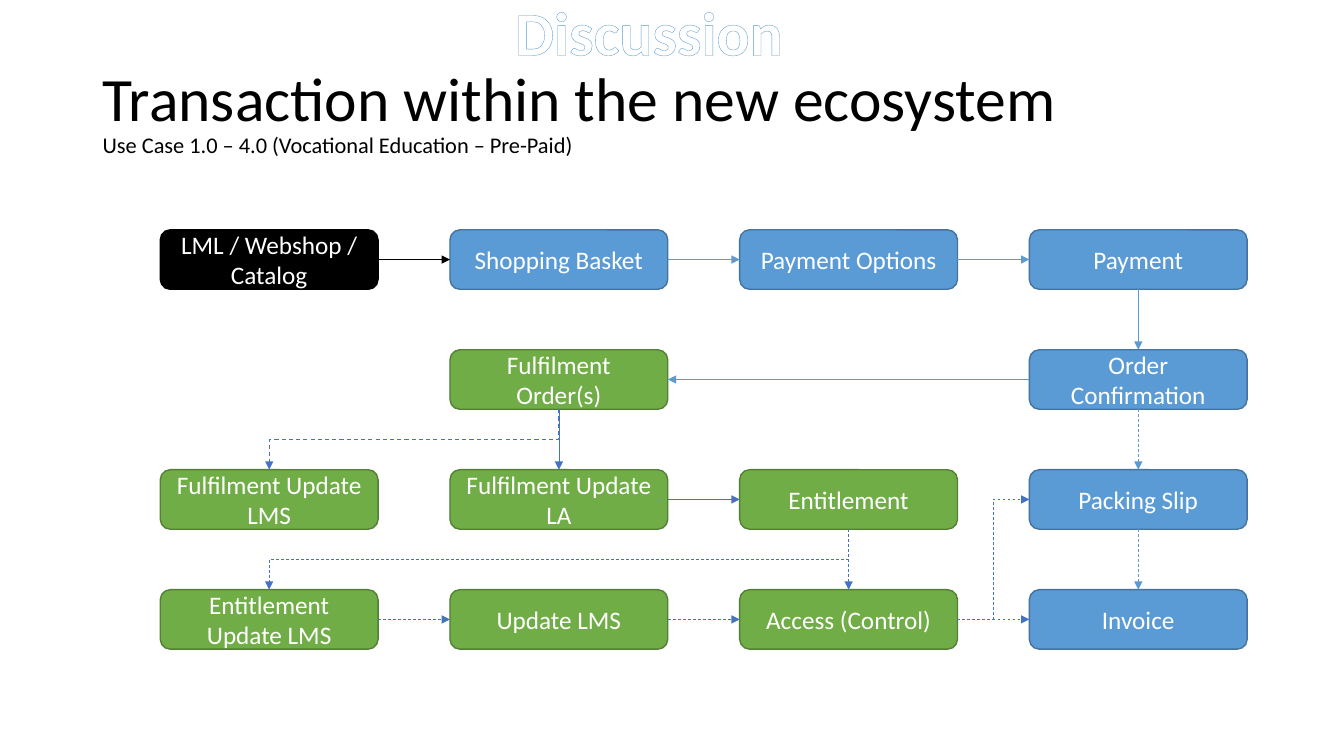
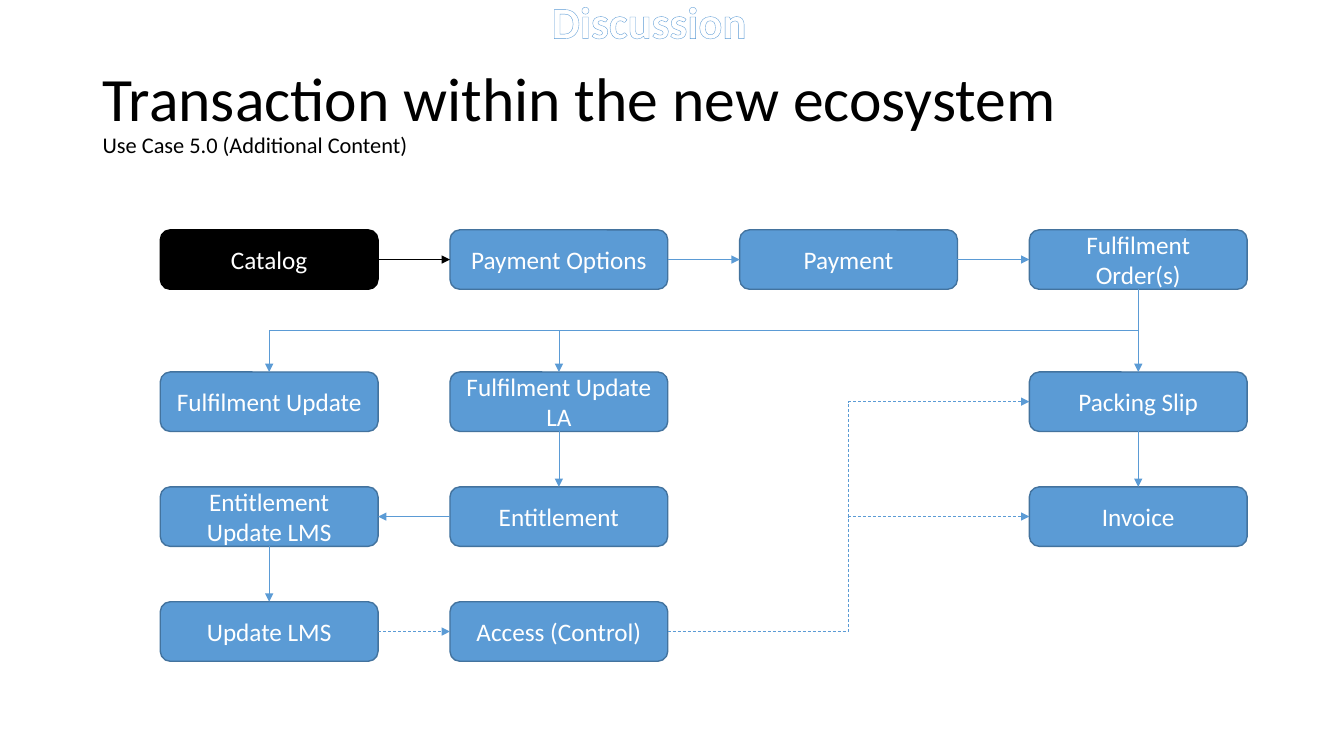
from dataclasses import dataclass

from lxml import etree
from pptx import Presentation
from pptx.dml.color import RGBColor
from pptx.enum.dml import MSO_LINE
from pptx.enum.shapes import MSO_CONNECTOR, MSO_SHAPE
from pptx.enum.text import MSO_ANCHOR, PP_ALIGN
from pptx.oxml import parse_xml
from pptx.oxml.ns import nsdecls, qn
from pptx.util import Inches, Pt

ROUNDED = MSO_SHAPE.ROUNDED_RECTANGLE
STRAIGHT, ELBOW = MSO_CONNECTOR.STRAIGHT, MSO_CONNECTOR.ELBOW
DASH = MSO_LINE.DASH
MIDDLE, CENTER = MSO_ANCHOR.MIDDLE, PP_ALIGN.CENTER
TOP, LEFT, BOTTOM, RIGHT = range(4)

FONT = "Calibri"
COLORS = {
    "black": "000000", "white": "FFFFFF",
    "blue": "5B9BD5", "blue edge": "43739E", "pale blue": "9DC3E6",
    "green": "70AD47", "green edge": "538035", "navy": "4472C4",
}
EDGES = {"black": "black", "blue": "blue edge", "green": "green edge"}

TITLE = "Transaction within the new ecosystem"
TITLE_BOX = (0.92, 0.4, 11.5, 1.45)
BANNER_LEFT, BANNER_TOP, BANNER_WIDTH = 1.59, -0.11, 9.7
STEP_WIDTH, STEP_HEIGHT = 2.16, 0.59
CHART_LEFT, CHART_RIGHT, CHART_TOP = 1.59, 12.37, 2.28
COLUMN_PITCH = (CHART_RIGHT - CHART_LEFT - STEP_WIDTH) / 3


@dataclass
class Flow:
    """An arrow between two named steps."""
    start: str
    end: str
    leave: int
    enter: int
    color: str = "blue"
    dashed: bool = False
    weight: float = 0.5


def rgb(name):
    """Return the named palette colour."""
    return RGBColor.from_string(COLORS[name])


def style_span(span, size, color):
    """Set the font of a run."""
    span.font.name = FONT
    span.font.size = Pt(size)
    span.font.color.rgb = rgb(color)


def add_text_box(page, area, text):
    """Add a wrapping text box and return its text frame."""
    frame = page.shapes.add_textbox(*map(Inches, area)).text_frame
    frame.word_wrap = True
    frame.text = text
    return frame


def add_title(page, subtitle):
    """Place the slide title with its use case below."""
    frame = add_text_box(page, TITLE_BOX, f"{TITLE}\v{subtitle}")
    frame.vertical_anchor = MIDDLE
    para = frame.paragraphs[0]
    para.line_spacing = 0.9
    for span, size in zip(para.runs, (44, 16)):
        style_span(span, size, "black")


def add_banner(page, size, height):
    """Place the outlined, hatched word above the title."""
    area = (BANNER_LEFT, BANNER_TOP, BANNER_WIDTH, height)
    para = add_text_box(page, area, "Discussion").paragraphs[0]
    para.alignment = CENTER
    span = para.runs[0]
    span.font.name, span.font.size, span.font.bold = FONT, Pt(size), True
    outline = (f'<a:ln {nsdecls("a")} w="12700"><a:solidFill>'
               f'<a:srgbClr val="{COLORS["blue"]}"/></a:solidFill></a:ln>')
    hatch = (f'<a:pattFill {nsdecls("a")} prst="ltDnDiag">'
             f'<a:fgClr><a:srgbClr val="{COLORS["pale blue"]}"/></a:fgClr>'
             f'<a:bgClr><a:srgbClr val="{COLORS["white"]}"/></a:bgClr></a:pattFill>')
    properties = span.font._element
    for index, xml in enumerate((outline, hatch)):
        properties.insert(index, parse_xml(xml))


def add_step(page, left, top, text, color):
    """Draw one rounded step of the process."""
    area = (left, top, STEP_WIDTH, STEP_HEIGHT)
    step = page.shapes.add_shape(ROUNDED, *map(Inches, area))
    step.shadow.inherit = False
    step.fill.solid()
    step.fill.fore_color.rgb = rgb(color)
    step.line.color.rgb = rgb(EDGES[color])
    step.line.width = Pt(1)
    step.text_frame.word_wrap = True
    step.text_frame.vertical_anchor = MIDDLE
    step.text_frame.text = text
    para = step.text_frame.paragraphs[0]
    para.alignment = CENTER
    style_span(para.runs[0], 18, "white")
    return step


def side_point(step, side):
    """Return the middle of one side of a step."""
    across = {LEFT: 0, RIGHT: step.width}.get(side, step.width // 2)
    down = {TOP: 0, BOTTOM: step.height}.get(side, step.height // 2)
    return step.left + across, step.top + down


def turn_elbow(arrow, start, end):
    """Make an elbow that runs down to the left leave vertically."""
    width, height = end[1] - start[1], start[0] - end[0]
    arrow.left = (start[0] + end[0] - width) // 2
    arrow.top = (start[1] + end[1] - height) // 2
    arrow.width, arrow.height = width, height
    frame = arrow.element.spPr.find(qn("a:xfrm"))
    frame.attrib.pop("flipH", None)
    frame.set("rot", "5400000")


def add_flow(page, steps, flow):
    """Join two steps with an arrow, bent where they are not in line."""
    first, last = steps[flow.start], steps[flow.end]
    start, end = side_point(first, flow.leave), side_point(last, flow.enter)
    aligned = start[0] == end[0] or start[1] == end[1]
    arrow = page.shapes.add_connector(STRAIGHT if aligned else ELBOW, *start, *end)
    arrow.begin_connect(first, flow.leave)
    arrow.end_connect(last, flow.enter)
    if not aligned and flow.leave == BOTTOM:
        turn_elbow(arrow, start, end)
    arrow.line.color.rgb = rgb(flow.color)
    arrow.line.width = Pt(flow.weight)
    if flow.dashed:
        arrow.line.dash_style = DASH
    etree.SubElement(arrow.line._get_or_add_ln(), qn("a:tailEnd"), type="triangle")
    etree.SubElement(arrow.element.spPr, qn("a:effectLst"))


def add_process(page, row_tops, rows, flows):
    """Lay out steps on the column grid and join them."""
    steps = {}
    for top, row in zip(row_tops, rows):
        for column, (text, color) in row.items():
            left = CHART_LEFT + column * COLUMN_PITCH
            steps[text] = add_step(page, left, top, text, color)
    for flow in flows:
        add_flow(page, steps, flow)


def add_process_page(deck, subtitle, banner, row_tops, rows, flows):
    """Add a slide with title, banner and process chart."""
    page = deck.slides.add_slide(deck.slide_layouts[6])
    add_title(page, subtitle)
    add_banner(page, *banner)
    add_process(page, row_tops, rows, flows)


PREPAID_ROWS = (
    {0: ("LML / Webshop / Catalog", "black"), 1: ("Shopping Basket", "blue"),
     2: ("Payment Options", "blue"), 3: ("Payment", "blue")},
    {1: ("Fulfilment Order(s)", "green"), 3: ("Order Confirmation", "blue")},
    {0: ("Fulfilment Update LMS", "green"), 1: ("Fulfilment Update LA", "green"),
     2: ("Entitlement", "green"), 3: ("Packing Slip", "blue")},
    {0: ("Entitlement Update LMS", "green"), 1: ("Update LMS", "green"),
     2: ("Access (Control)", "green"), 3: ("Invoice", "blue")},
)
PREPAID_FLOWS = (
    Flow("LML / Webshop / Catalog", "Shopping Basket", RIGHT, LEFT, "black"),
    Flow("Shopping Basket", "Payment Options", RIGHT, LEFT),
    Flow("Payment Options", "Payment", RIGHT, LEFT),
    Flow("Payment", "Order Confirmation", BOTTOM, TOP),
    Flow("Order Confirmation", "Fulfilment Order(s)", LEFT, RIGHT),
    Flow("Order Confirmation", "Packing Slip", BOTTOM, TOP, dashed=True),
    Flow("Packing Slip", "Invoice", BOTTOM, TOP, dashed=True),
    Flow("Fulfilment Order(s)", "Fulfilment Update LMS", BOTTOM, TOP, "navy", True, 0.75),
    Flow("Fulfilment Order(s)", "Fulfilment Update LA", BOTTOM, TOP, "navy"),
    Flow("Fulfilment Update LA", "Entitlement", RIGHT, LEFT, "navy"),
    Flow("Entitlement", "Entitlement Update LMS", BOTTOM, TOP, "navy", True),
    Flow("Entitlement", "Access (Control)", BOTTOM, TOP, "navy", True),
    Flow("Entitlement Update LMS", "Update LMS", RIGHT, LEFT, "navy", True),
    Flow("Update LMS", "Access (Control)", RIGHT, LEFT, "navy", True),
    Flow("Access (Control)", "Packing Slip", RIGHT, LEFT, "navy", True),
    Flow("Access (Control)", "Invoice", RIGHT, LEFT, "navy", True),
)
CONTENT_ROWS = (
    {0: ("Catalog", "black"), 1: ("Payment Options", "blue"),
     2: ("Payment", "blue"), 3: ("Fulfilment Order(s)", "blue")},
    {0: ("Fulfilment Update", "blue"), 1: ("Fulfilment Update LA", "blue"),
     3: ("Packing Slip", "blue")},
    {0: ("Entitlement Update LMS", "blue"), 1: ("Entitlement", "blue"),
     3: ("Invoice", "blue")},
    {0: ("Update LMS", "blue"), 1: ("Access (Control)", "blue")},
)
CONTENT_FLOWS = (
    Flow("Catalog", "Payment Options", RIGHT, LEFT, "black"),
    Flow("Payment Options", "Payment", RIGHT, LEFT),
    Flow("Payment", "Fulfilment Order(s)", RIGHT, LEFT),
    Flow("Fulfilment Order(s)", "Packing Slip", BOTTOM, TOP),
    Flow("Fulfilment Order(s)", "Fulfilment Update LA", BOTTOM, TOP),
    Flow("Fulfilment Order(s)", "Fulfilment Update", BOTTOM, TOP),
    Flow("Packing Slip", "Invoice", BOTTOM, TOP),
    Flow("Fulfilment Update LA", "Entitlement", BOTTOM, TOP),
    Flow("Entitlement", "Entitlement Update LMS", LEFT, RIGHT),
    Flow("Entitlement Update LMS", "Update LMS", BOTTOM, TOP),
    Flow("Update LMS", "Access (Control)", RIGHT, LEFT, dashed=True),
    Flow("Access (Control)", "Invoice", RIGHT, LEFT, dashed=True),
    Flow("Access (Control)", "Packing Slip", RIGHT, LEFT, dashed=True),
)


def main():
    """Build and save the deck."""
    deck = Presentation()
    deck.slide_width, deck.slide_height = Inches(13.33), Inches(7.5)
    prepaid_tops = [CHART_TOP + 1.19 * row for row in range(4)]
    content_tops = [CHART_TOP] + [3.69 + 1.14 * row for row in range(3)]
    add_process_page(deck, "Use Case 1.0 – 4.0 (Vocational Education – Pre-Paid)",
                     (44, 0.84), prepaid_tops, PREPAID_ROWS, PREPAID_FLOWS)
    add_process_page(deck, "Use Case 5.0 (Additional Content)",
                     (32, 0.64), content_tops, CONTENT_ROWS, CONTENT_FLOWS)
    deck.save("out.pptx")


if __name__ == "__main__":
    main()
